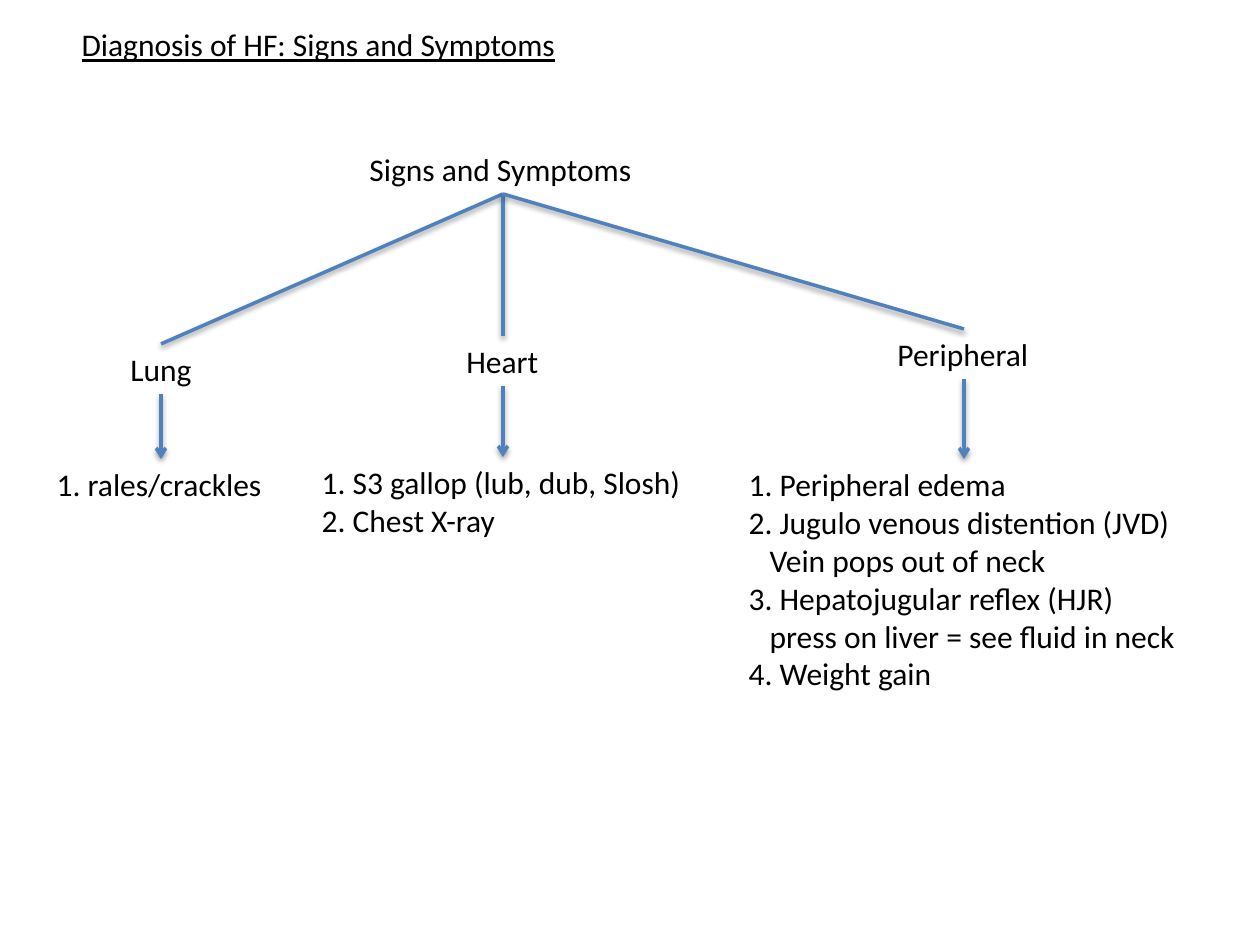
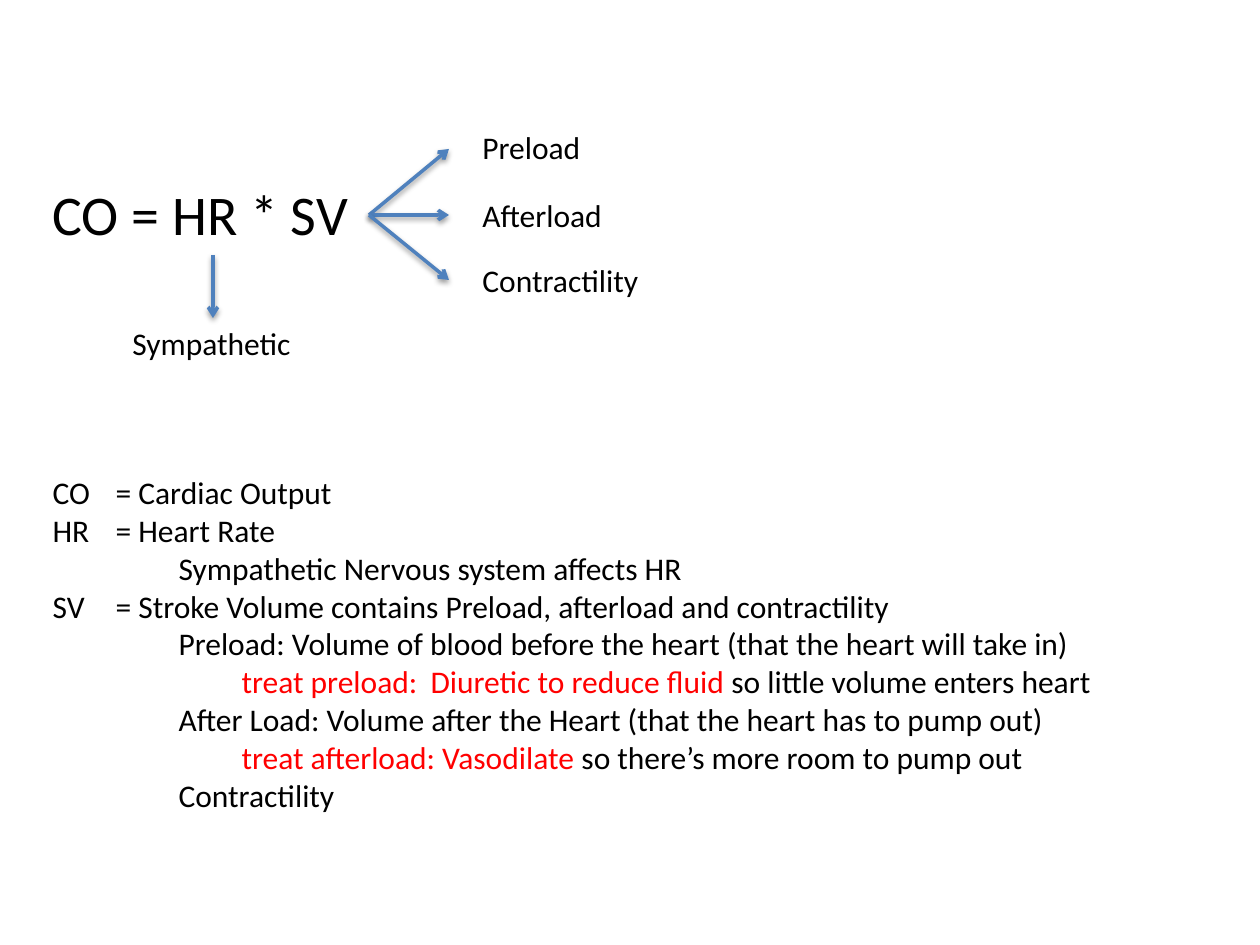
"""Build two study slides on heart failure signs and cardiac output."""
from typing import NamedTuple

from lxml.etree import SubElement
from pptx import Presentation
from pptx.dml.color import RGBColor
from pptx.enum.shapes import MSO_CONNECTOR
from pptx.enum.text import MSO_ANCHOR, MSO_AUTO_SIZE, PP_ALIGN
from pptx.oxml.ns import qn
from pptx.presentation import Presentation as Deck
from pptx.shapes.base import BaseShape
from pptx.slide import Slide
from pptx.util import Emu, Pt

INK = RGBColor(0x00, 0x00, 0x00)
TREATMENT = RGBColor(0xFF, 0x00, 0x00)
ARROW_BLUE = RGBColor(0x4F, 0x81, 0xBD)
FONT = "Calibri"
TEXT_SIZE = 18
EQUATION_SIZE = 32
LABEL_HEIGHT = 50
LINE_HEIGHT = 38
COMPARISON_LAYOUT, CONTENT_LAYOUT = 4, 1
DEFINITION_TABS = (63, 126, 189, 386)


class Point(NamedTuple):
    x: int
    y: int


class Box(NamedTuple):
    left: int
    top: int
    width: int
    height: int = LABEL_HEIGHT


class Line(NamedTuple):
    text: str
    indent: int = 0
    treatment: str = ""


class Branch(NamedTuple):
    name: str
    center: int
    top: int
    width: int
    findings_at: Point
    findings_width: int
    findings: tuple[Line, ...]


class Factor(NamedTuple):
    name: str
    top: int
    width: int
    arrow_end: int


BRANCHES = (
    Branch("Lung", 161, 344, 87, Point(44, 459), 234, (Line("1. rales/crackles"),)),
    Branch("Heart", 503, 336, 98, Point(309, 457), 388, (
        Line("1. S3 gallop (lub, dub, Slosh)"),
        Line("2. Chest X-ray"),
    )),
    Branch("Peripheral", 964, 329, 159, Point(736, 459), 457, (
        Line("1. Peripheral edema"),
        Line("2. Jugulo venous distention (JVD)"),
        Line("Vein pops out of neck", indent=21),
        Line("3. Hepatojugular reflex (HJR)"),
        Line("press on liver = see fluid in neck", indent=21),
        Line("4. Weight gain"),
    )),
)
FACTORS = (
    Factor("Preload", 122, 125, 149),
    Factor("Afterload", 190, 146, 215),
    Factor("Contractility", 255, 184, 280),
)
DEFINITIONS = (
    Line("CO\t= Cardiac Output"),
    Line("HR\t= Heart Rate"),
    Line("\t\tSympathetic Nervous system affects HR"),
    Line("SV\t= Stroke Volume contains Preload, afterload and contractility"),
    Line("\t\tPreload: Volume of blood before the heart (that the heart will take in)"),
    Line("so little volume enters heart",
         treatment="\t\t\ttreat preload:\tDiuretic to reduce fluid "),
    Line("\t\tAfter Load: Volume after the Heart (that the heart has to pump out)"),
    Line("so there’s more room to pump out",
         treatment="\t\t\ttreat afterload: Vasodilate "),
    Line("\t\tContractility"),
)


def px(length: float) -> Emu:
    """Turn pixels into EMU."""
    return Emu(round(length * 914400 / 126))


def place(shape: BaseShape, box: Box) -> None:
    """Move and size a placeholder."""
    shape.left, shape.top, shape.width, shape.height = map(px, box)


def write(shape: BaseShape, lines: tuple[Line, ...], size: int = TEXT_SIZE,
          wrap: bool = False, tabs: tuple[int, ...] = ()) -> None:
    """Fill a shape with plain, unbulleted lines."""
    frame = shape.text_frame
    frame.word_wrap = wrap
    frame.auto_size = MSO_AUTO_SIZE.NONE
    frame.vertical_anchor = MSO_ANCHOR.TOP
    for index, line in enumerate(lines):
        paragraph = frame.add_paragraph() if index else frame.paragraphs[0]
        properties = paragraph._p.get_or_add_pPr()
        properties.set("marL", str(px(line.indent)))
        properties.set("indent", "0")
        SubElement(properties, qn("a:buNone"))
        if tabs:
            stops = SubElement(properties, qn("a:tabLst"))
            for stop in tabs:
                SubElement(stops, qn("a:tab"), pos=str(px(stop)), algn="l")
        paragraph.alignment = PP_ALIGN.LEFT
        paragraph.space_before = Pt(0)
        paragraph.text = line.treatment or line.text
        if line.treatment:
            paragraph.add_run().text = line.text
        for run in paragraph.runs:
            run.font.name, run.font.size, run.font.bold = FONT, Pt(size), False
            run.font.color.rgb = INK
        if line.treatment:
            paragraph.runs[0].font.color.rgb = TREATMENT


def add_label(slide: Slide, text: str, box: Box) -> None:
    """Add a one-line label."""
    write(slide.shapes.add_textbox(*map(px, box)), (Line(text),))


def add_line(slide: Slide, start: Point, end: Point, arrow: bool = True) -> None:
    """Join two points, with an open arrowhead unless told otherwise."""
    connector = slide.shapes.add_connector(
        MSO_CONNECTOR.STRAIGHT, *map(px, (*start, *end)))
    connector.line.color.rgb = ARROW_BLUE
    connector.line.width = Pt(2)
    if arrow:
        SubElement(connector._element.spPr.find(qn("a:ln")), qn("a:tailEnd"), type="arrow")


def add_slide(deck: Deck, layout: int, title: str, box: Box,
              size: int = TEXT_SIZE) -> tuple[Slide, list[BaseShape]]:
    """Add a titled slide and return it with its body placeholders."""
    slide = deck.slides.add_slide(deck.slide_layouts[layout])
    heading, *bodies = slide.placeholders
    place(heading, box)
    write(heading, (Line(title),), size, wrap=True)
    return slide, bodies


def build_signs(deck: Deck) -> None:
    """Draw the tree of signs and symptoms."""
    slide, bodies = add_slide(deck, COMPARISON_LAYOUT,
                              "Diagnosis of HF: Signs and Symptoms", Box(69, 19, 1016))
    slide.shapes.title.text_frame.paragraphs[0].runs[0].font.underline = True
    root = Box(357, 144, 291)
    add_label(slide, "Signs and Symptoms", root)
    fork = Point(503, root.top + root.height)
    for branch, findings in zip(BRANCHES, bodies):
        add_label(slide, branch.name,
                  Box(branch.center - branch.width // 2, branch.top, branch.width))
        add_line(slide, fork, Point(branch.center, branch.top), arrow=False)
        add_line(slide, Point(branch.center, branch.top + LABEL_HEIGHT),
                 Point(branch.center, branch.findings_at.y))
        place(findings, Box(*branch.findings_at, branch.findings_width,
                            13 + LINE_HEIGHT * len(branch.findings)))
        write(findings, branch.findings)
    for unused in bodies[len(BRANCHES):]:
        unused._element.getparent().remove(unused._element)


def build_output(deck: Deck) -> None:
    """Draw the cardiac output equation with its definitions."""
    slide, (definitions,) = add_slide(deck, CONTENT_LAYOUT, "CO = HR * SV",
                                      Box(40, 173, 325, 80), EQUATION_SIZE)
    place(definitions, Box(40, 467, 1174, 355))
    write(definitions, DEFINITIONS, wrap=True, tabs=DEFINITION_TABS)
    add_label(slide, "Sympathetic", Box(120, 318, 187))
    add_line(slide, Point(213, 255), Point(213, 318))
    for factor in FACTORS:
        add_line(slide, Point(369, 215), Point(449, factor.arrow_end))
        add_label(slide, factor.name, Box(470, factor.top, factor.width))


def main() -> None:
    """Build and save the deck."""
    deck = Presentation()
    deck.slide_width, deck.slide_height = px(1260), px(945)
    build_signs(deck)
    build_output(deck)
    deck.save("out.pptx")


if __name__ == "__main__":
    main()
